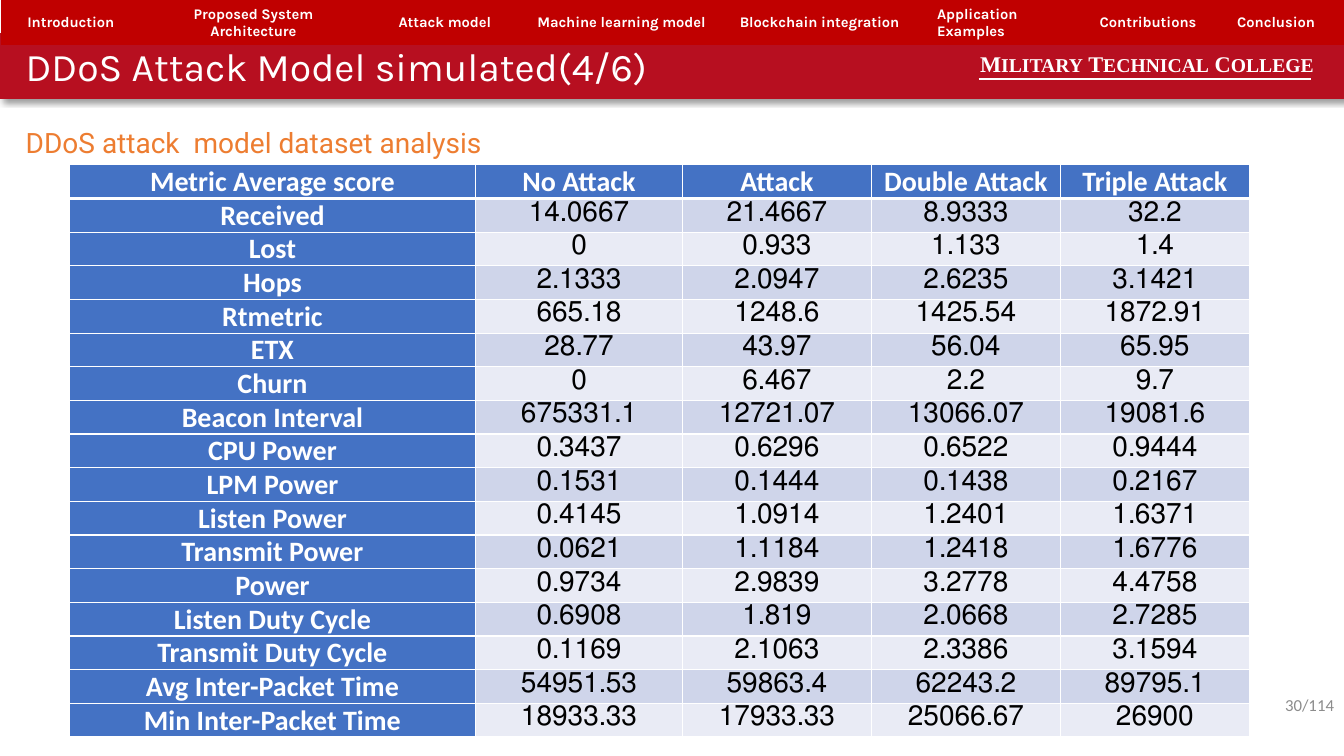
from dataclasses import dataclass

from lxml import etree
from pptx import Presentation
from pptx.dml.color import RGBColor
from pptx.enum.shapes import MSO_CONNECTOR, MSO_SHAPE
from pptx.enum.text import MSO_ANCHOR, PP_ALIGN
from pptx.oxml import parse_xml
from pptx.oxml.ns import nsdecls, qn
from pptx.util import Emu, Pt

PX = 9525
LEFT, CENTER, RIGHT = PP_ALIGN.LEFT, PP_ALIGN.CENTER, PP_ALIGN.RIGHT
TOP, MIDDLE = MSO_ANCHOR.TOP, MSO_ANCHOR.MIDDLE
RECTANGLE, STRAIGHT = MSO_SHAPE.RECTANGLE, MSO_CONNECTOR.STRAIGHT
PLAIN_TABLE = "{2D5ABB26-0587-4C30-8999-92F81FD0307C}"


@dataclass(frozen=True)
class Style:
    name: str
    size: float
    color: str
    bold: bool = False


@dataclass(frozen=True)
class Theme:
    band: str = "B70F20"
    nav_fill: str = "C00000"
    head_fill: str = "4472C4"
    stripes: tuple[str, str] = ("CFD5EA", "E9EBF5")
    white: str = "FFFFFF"
    title: Style = Style("Karla", 28, "FFFFFF")
    nav: Style = Style("Karla", 10.5, "FFFFFF", True)
    capital: Style = Style("Times New Roman", 16, "FFFFFF", True)
    small_cap: Style = Style("Times New Roman", 14, "FFFFFF", True)
    subtitle: Style = Style("Roboto", 20, "ED7D31")
    label: Style = Style("Calibri", 20, "FFFFFF", True)
    value: Style = Style("Calibri", 20, "000000")
    page: Style = Style("Calibri", 12, "8C8C8C")


@dataclass(frozen=True)
class TextBox:
    x: int
    y: int
    w: int
    h: int
    runs: list[tuple[str, Style]]
    align: PP_ALIGN = LEFT
    anchor: MSO_ANCHOR = TOP


@dataclass(frozen=True)
class NavItem:
    text: str
    width: int
    align: PP_ALIGN = CENTER
    space_after: int = 9


@dataclass(frozen=True)
class Metric:
    name: str
    values: str


THEME = Theme()
COLLEGE = [("M", "ILITARY"), (" T", "ECHNICAL"), (" C", "OLLEGE")]
TEXTS = [
    TextBox(992, 652, 288, 38, [("30/114", THEME.page)], RIGHT, MIDDLE),
    TextBox(15, 36, 824, 55, [("DDoS Attack Model simulated(4/6)", THEME.title)]),
    TextBox(924, 43, 356, 36, [run for big, small in COLLEGE
                               for run in ((big, THEME.capital), (small, THEME.small_cap))]),
    TextBox(15, 115, 646, 42, [("DDoS attack  model dataset analysis", THEME.subtitle)]),
]
NAV = [
    NavItem("Introduction", 133, space_after=0),
    NavItem("Proposed System Architecture", 215, space_after=0),
    NavItem("Attack model ", 153),
    NavItem("Machine learning model ", 180),
    NavItem("Blockchain integration ", 201),
    NavItem("Application Examples", 153, LEFT),
    NavItem("Contributions", 115),
    NavItem("Conclusion", 129),
]
HEADINGS = ["Metric Average score", "No Attack", "Attack", "Double Attack", "Triple Attack"]
METRIC_WIDTHS = [387, 197, 180, 180, 180]
METRICS = [
    Metric("Received", "14.0667 21.4667 8.9333 32.2"),
    Metric("Lost", "0 0.933 1.133 1.4"),
    Metric("Hops", "2.1333 2.0947 2.6235 3.1421"),
    Metric("Rtmetric", "665.18 1248.6 1425.54 1872.91"),
    Metric("ETX", "28.77 43.97 56.04 65.95"),
    Metric("Churn", "0 6.467 2.2 9.7"),
    Metric("Beacon Interval", "675331.1 12721.07 13066.07 19081.6"),
    Metric("CPU Power", "0.3437 0.6296 0.6522 0.9444"),
    Metric("LPM Power", "0.1531 0.1444 0.1438 0.2167"),
    Metric("Listen Power", "0.4145 1.0914 1.2401 1.6371"),
    Metric("Transmit Power", "0.0621 1.1184 1.2418 1.6776"),
    Metric("Power", "0.9734 2.9839 3.2778 4.4758"),
    Metric("Listen Duty Cycle", "0.6908 1.819 2.0668 2.7285"),
    Metric("Transmit Duty Cycle", "0.1169 2.1063 2.3386 3.1594"),
    Metric("Avg Inter-Packet Time", "54951.53 59863.4 62243.2 89795.1"),
    Metric("Min Inter-Packet Time", "18933.33 17933.33 25066.67 26900"),
]


def px(*lengths: int) -> list[Emu]:
    return [Emu(n * PX) for n in lengths]


def add_run(p, text: str, style: Style) -> None:
    r = p.add_run()
    r.text = text
    formats = {"name": style.name, "size": Pt(style.size), "bold": style.bold}
    for key, value in formats.items():
        setattr(r.font, key, value)
    r.font.color.rgb = RGBColor.from_string(style.color)


def add_text(s, box: TextBox) -> None:
    tf = s.shapes.add_textbox(*px(box.x, box.y, box.w, box.h)).text_frame
    tf.word_wrap, tf.vertical_anchor = True, box.anchor
    p = tf.paragraphs[0]
    p.alignment = box.align
    for text, style in box.runs:
        add_run(p, text, style)


def add_plain_table(s, x: int, y: int, widths: list[int], rows: int, row_height: int):
    frame = s.shapes.add_table(rows, len(widths), *px(x, y, sum(widths), rows * row_height))
    table = frame.table
    table.first_row = table.horz_banding = False
    table._tbl.tblPr.find(qn("a:tableStyleId")).text = PLAIN_TABLE
    for column, width in zip(table.columns, px(*widths)):
        column.width = width
    return table


def fill_cell(cell, text: str, style: Style, fill: str, anchor: MSO_ANCHOR, align: PP_ALIGN):
    cell.fill.solid()
    cell.fill.fore_color.rgb = RGBColor.from_string(fill)
    cell.vertical_anchor = anchor
    p = cell.text_frame.paragraphs[0]
    p.alignment = align
    add_run(p, text, style)
    return p


def set_borders(cell, top: int, bottom: int) -> None:
    sides = {"lnL": 1, "lnR": 1, "lnT": top, "lnB": bottom}
    for i, (side, width) in enumerate(sides.items()):
        cell._tc.get_or_add_tcPr().insert(i, parse_xml(
            f'<a:{side} {nsdecls("a")} w="{Pt(width)}"><a:solidFill>'
            f'<a:srgbClr val="{THEME.white}"/></a:solidFill></a:{side}>'))


def add_band(s) -> None:
    sp = s.shapes.add_shape(RECTANGLE, *px(0, 32, 1280, 62))
    sp.fill.solid()
    sp.fill.fore_color.rgb = sp.line.color.rgb = RGBColor.from_string(THEME.band)
    sp.line.width = Pt(0.75)
    sp._element.spPr.append(parse_xml(
        f'<a:effectLst {nsdecls("a")}><a:outerShdw blurRad="{Pt(4)}" dist="{Pt(3)}" '
        'dir="2700000" algn="tl" rotWithShape="0"><a:srgbClr val="000000">'
        '<a:alpha val="40000"/></a:srgbClr></a:outerShdw></a:effectLst>'))


def add_underline(s) -> None:
    line = s.shapes.add_connector(STRAIGHT, *px(932, 75, 1249, 75))
    line.line.color.rgb = RGBColor.from_string(THEME.white)
    line.line.width = Pt(1.5)
    etree.SubElement(line._element.spPr, qn("a:effectLst"))


def add_metrics(s) -> None:
    table = add_plain_table(s, 66, 157, METRIC_WIDTHS, len(METRICS) + 1, 32)
    rows = [HEADINGS] + [[m.name, *m.values.split()] for m in METRICS]
    for i, row in enumerate(rows):
        for j, text in enumerate(row):
            cell = table.cell(i, j)
            heading = i == 0 or j == 0
            margins = {"margin_left": 7, "margin_right": 7, "margin_top": 0, "margin_bottom": 0}
            for key, value in margins.items():
                setattr(cell, key, Emu(value * PX))
            p = fill_cell(cell, text, THEME.label if heading else THEME.value,
                          THEME.head_fill if heading else THEME.stripes[(i - 1) % 2],
                          MIDDLE if j == 0 else TOP, CENTER)
            p._p.get_or_add_pPr().set("rtl", "1")
            set_borders(cell, 3 if i == 1 else 1, 3 if i == 0 else 1)


def add_nav(s) -> None:
    table = add_plain_table(s, 1, 0, [item.width for item in NAV], 1, 35)
    for j, item in enumerate(NAV):
        p = fill_cell(table.cell(0, j), item.text, THEME.nav, THEME.nav_fill, MIDDLE, item.align)
        p.space_after = Pt(item.space_after)


def main() -> None:
    prs = Presentation()
    prs.slide_width, prs.slide_height = px(1280, 720)
    s = prs.slides.add_slide(prs.slide_layouts[6])
    # Header band and texts
    add_band(s)
    for box in TEXTS:
        add_text(s, box)
    add_underline(s)
    # Metrics table, then navigation bar on top
    add_metrics(s)
    add_nav(s)
    prs.save("out.pptx")


if __name__ == "__main__":
    main()
